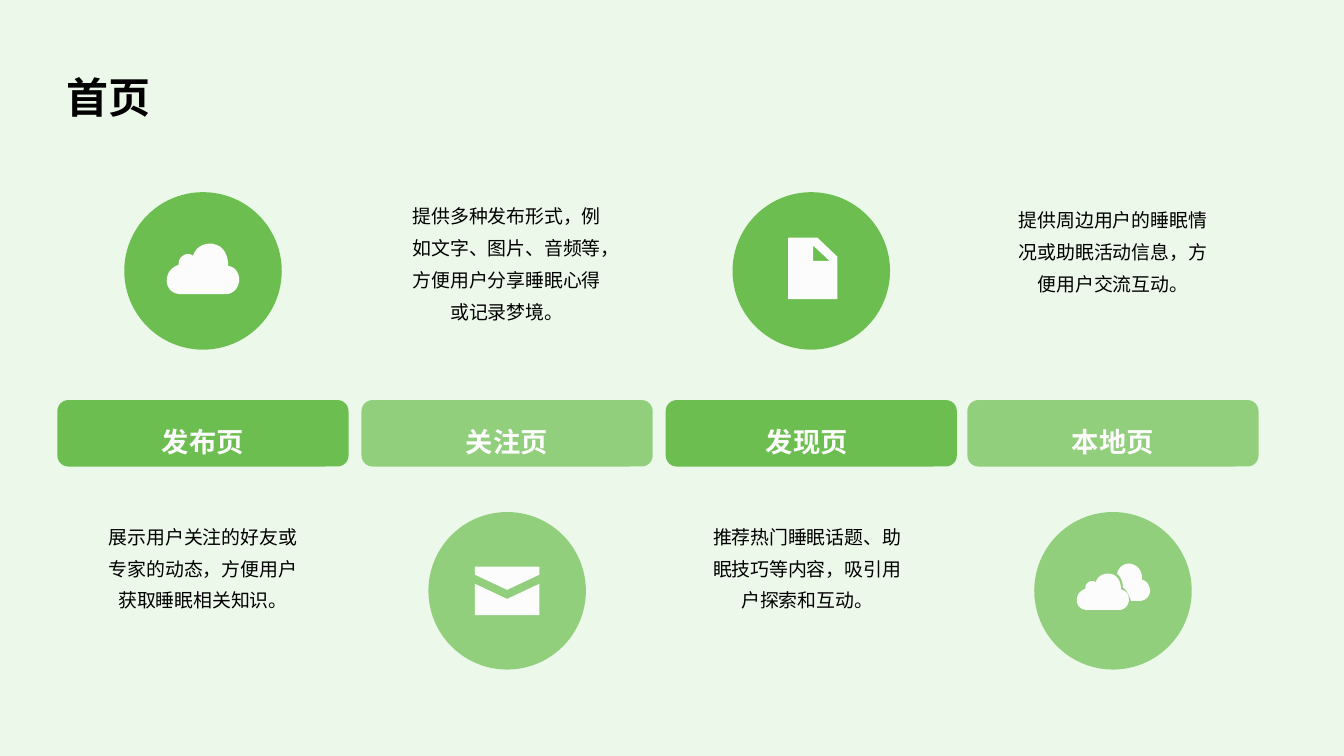
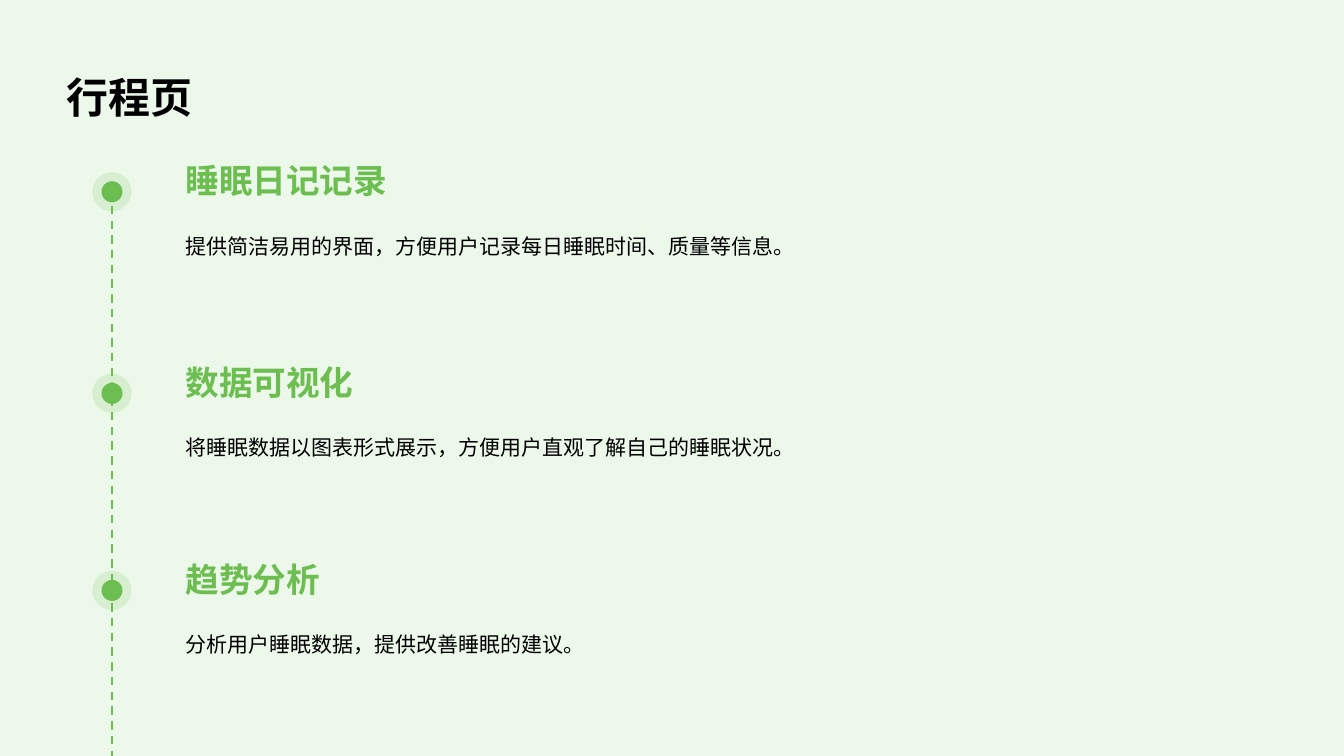
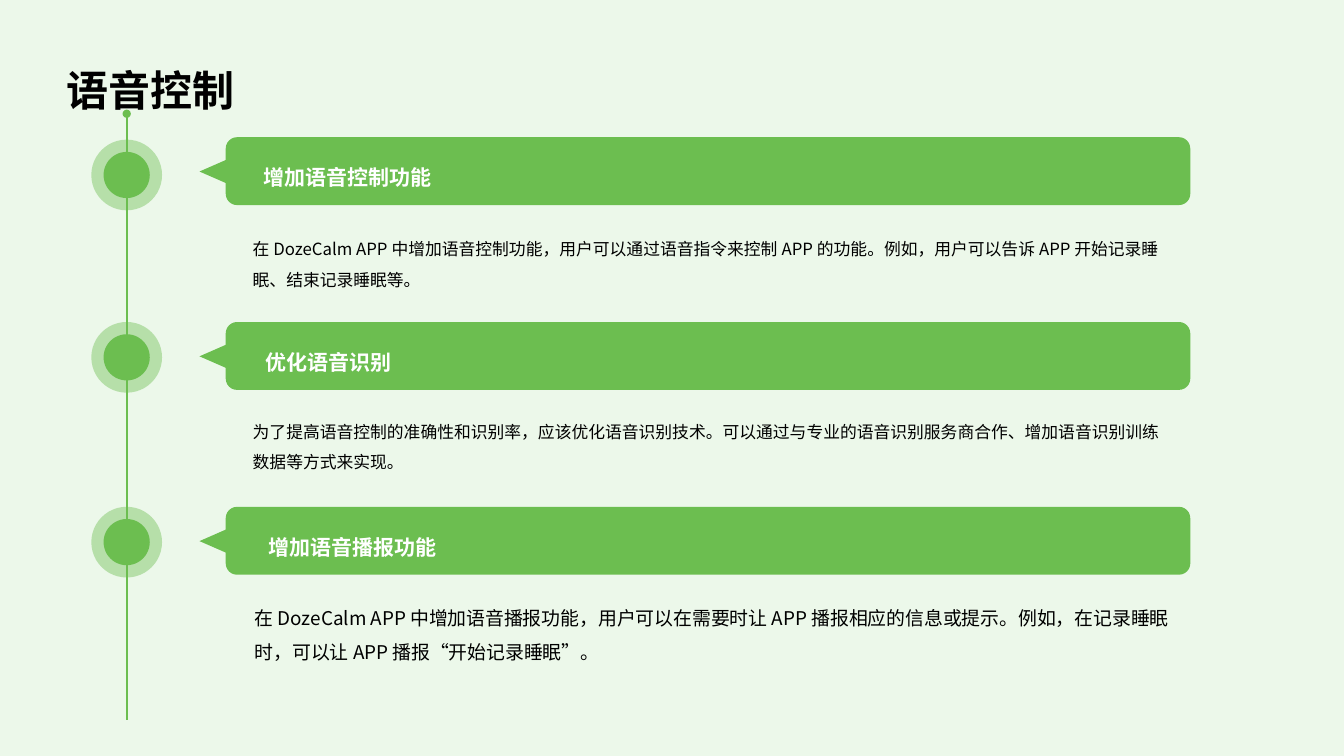
from lxml import etree
from pptx import Presentation
from pptx.dml.color import RGBColor
from pptx.enum.dml import MSO_LINE
from pptx.enum.shapes import MSO_CONNECTOR, MSO_SHAPE
from pptx.enum.text import MSO_ANCHOR, MSO_AUTO_SIZE, PP_ALIGN
from pptx.oxml.ns import qn
from pptx.util import Pt

OVAL, ROUNDED, TRIANGLE = MSO_SHAPE.OVAL, MSO_SHAPE.ROUNDED_RECTANGLE, MSO_SHAPE.ISOSCELES_TRIANGLE
TOP, MIDDLE, BOTTOM = MSO_ANCHOR.TOP, MSO_ANCHOR.MIDDLE, MSO_ANCHOR.BOTTOM
LEFT, CENTER = PP_ALIGN.LEFT, PP_ALIGN.CENTER
GROW, FIXED = MSO_AUTO_SIZE.SHAPE_TO_FIT_TEXT, MSO_AUTO_SIZE.NONE
STRAIGHT, DASH = MSO_CONNECTOR.STRAIGHT, MSO_LINE.DASH

WIDTH, HEIGHT = 960, 540
GREEN, PALE, WHITE, OFF_WHITE, BLACK = "6CBE50", "ECF8EA", "FFFFFF", "FDFCFC", "000000"
FONT = "Noto Sans CJK SC"

# Icon outlines in points around the icon's centre.
# A pair is a corner; four numbers are a curve's control point and its end.
CLOUD = [(16.6, 16.6), (24.5, 16.6, 25.9, 7.2), (26.6, -2.2, 18, -3.6),
         (18.7, -18, 6.5, -19.4), (-3.6, -20.9, -7.2, -10.8),
         (-10.1, -13.7, -14.4, -10.8), (-18, -8.6, -17.3, -4.3),
         (-25.9, -2.2, -25.9, 7.2), (-25.9, 15.8, -16.6, 16.6)]
BACK_CLOUD = [(20.9, -7.9), (21.6, -18, 12.2, -19.4), (5, -20.2, 2.9, -12.2),
              (7.2, -9.4, 7.2, -2.2), (10.1, -1.4, 13, 7.2), (19.4, 7.2),
              (25.2, 7.2, 26.6, 0.7), (26.6, -6.5, 20.9, -7.9)]
ENVELOPE = [[(0, -0.7), (23, -11.5), (23, -17.3), (-23, -17.3), (-23, -11.5)],
            [(0, 5.8), (23, -5), (23, 17.3), (-23, 17.3), (-23, -5)]]
DOCUMENT = [[(4.3, -23.8), (-16.6, -23.8), (-16.6, 20.2), (18.7, 20.2), (18.7, -10.1)],
            [(1.4, -7.2), (1.4, -18), (13, -7.2)]]


def color(value):
    return RGBColor.from_string(value)


def flatten(outline, steps=10):
    """Turn an outline's curves, which leave along their control line, into points."""
    points = [outline[0]]
    for part in outline[1:]:
        if len(part) == 2:
            points.append(part)
            continue
        start, control, end = points[-1], part[:2], part[2:]
        for step in range(1, steps + 1):
            t = step / steps
            near, far = (1 - t) ** 3 + 3 * t * (1 - t) ** 2, 3 * t * t * (1 - t)
            points.append(tuple(near * a + far * b + t ** 3 * c
                                for a, b, c in zip(start, control, end)))
    return points


class Slides:
    def __init__(self):
        self.deck = Presentation()
        self.deck.slide_width, self.deck.slide_height = Pt(WIDTH), Pt(HEIGHT)
        self.page = None

    def new_page(self):
        self.page = self.deck.slides.add_slide(self.deck.slide_layouts[6])
        background = self.page.background.fill
        background.solid()
        background.fore_color.rgb = color(PALE)

    def paint(self, shape, fill, alpha=100):
        shape.shadow.inherit = False
        shape.line.fill.background()
        shape.fill.solid()
        shape.fill.fore_color.rgb = color(fill)
        if alpha < 100:
            tint = shape._element.spPr.find(qn("a:solidFill"))[0]
            etree.SubElement(tint, qn("a:alpha"), val=str(alpha * 1000))

    def shape(self, kind, left, top, width, height, alpha=100, rotation=0):
        shape = self.page.shapes.add_shape(kind, Pt(left), Pt(top), Pt(width), Pt(height))
        shape.rotation = rotation
        self.paint(shape, GREEN, alpha)

    def dot(self, x, y, size, alpha=100):
        self.shape(OVAL, x - size / 2, y - size / 2, size, size, alpha)

    def icon(self, outlines, x, y, scale=1):
        builder = None
        for outline in outlines:
            points = [(Pt(x + dx * scale), Pt(y + dy * scale)) for dx, dy in flatten(outline)]
            if builder is None:
                builder = self.page.shapes.build_freeform(*points[0])
            else:
                builder.move_to(*points[0])
            builder.add_line_segments(points[1:], close=True)
        self.paint(builder.convert_to_shape(), OFF_WHITE)

    def line(self, x, top, bottom, dash=None, head=None):
        line = self.page.shapes.add_connector(STRAIGHT, Pt(x), Pt(top), Pt(x), Pt(bottom))
        line.line.color.rgb = color(GREEN)
        line.line.width = Pt(1.5)
        if dash:
            line.line.dash_style = dash
        properties = line._element.spPr
        if head:
            etree.SubElement(properties.find(qn("a:ln")), qn("a:headEnd"), type=head)
        etree.SubElement(properties, qn("a:effectLst"))

    def text(self, words, left, top, width, height, size, ink=BLACK, bold=False,
             anchor=TOP, align=LEFT, spacing=1.4, insets=(0, 0, 0, 0), fit=FIXED):
        box = self.page.shapes.add_textbox(Pt(left), Pt(top), Pt(width), Pt(height))
        frame = box.text_frame
        sides = ("margin_left", "margin_top", "margin_right", "margin_bottom")
        frame_format = {"word_wrap": True, "auto_size": fit, "vertical_anchor": anchor,
                        **{side: Pt(inset) for side, inset in zip(sides, insets)}}
        para = frame.paragraphs[0]
        span = para.add_run()
        span.text = words
        span.font.color.rgb = color(ink)
        formats = ((frame, frame_format),
                   (para, {"alignment": align, "line_spacing": spacing}),
                   (span.font, {"size": Pt(size), "bold": bold, "name": FONT}))
        for target, values in formats:
            for name, value in values.items():
                setattr(target, name, value)
        etree.SubElement(span._r.get_or_add_rPr(), qn("a:ea"), typeface=FONT)

    def title(self, words, bottom_inset=0):
        self.text(words, 37.5, 21, 885, 72, 30, bold=True, anchor=MIDDLE,
                  insets=(10, 10, 4.5, bottom_inset))


def home_page(slides):
    slides.new_page()
    bar_top, bar_width, bar_height = 285.75, 208, 47.5
    upper, lower = 193.5, 422
    small_inset = (5, 3, 5, 0)
    small_cloud = [[tuple(0.72 * n + (-7.2, 1.7)[i % 2] for i, n in enumerate(part))
                    for part in CLOUD], BACK_CLOUD]
    # centre, centre of the text, circle height, body top, opacity, icon, label, body
    columns = [
        (145, 145, upper, 366, 100, [CLOUD], "发布页",
         "展示用户关注的好友或专家的动态，方便用户获取睡眠相关知识。"),
        (362.25, 362, lower, 137, 70, ENVELOPE, "关注页",
         "提供多种发布形式，例如文字、图片、音频等，方便用户分享睡眠心得或记录梦境。"),
        (579.5, 576.5, upper, 366, 100, DOCUMENT, "发现页",
         "推荐热门睡眠话题、助眠技巧等内容，吸引用户探索和互动。"),
        (795, 795, lower, 139.75, 70, small_cloud, "本地页",
         "提供周边用户的睡眠情况或助眠活动信息，方便用户交流互动。"),
    ]
    for x, text_x, circle_y, body_top, alpha, icon, label, body in columns:
        slides.shape(ROUNDED, x - bar_width / 2, bar_top, bar_width, bar_height, alpha)
        slides.dot(x, circle_y, 112.5, alpha)
        slides.icon(icon, x, circle_y)
        slides.text(label, text_x - 75, 296.75, 150, 29, 19.5, OFF_WHITE, True, MIDDLE,
                    CENTER, 1.2, small_inset, GROW)
        slides.text(body, text_x - 76, body_top, 152, 69, 13.5, align=CENTER,
                    insets=small_inset, fit=GROW)
    slides.title("首页")


def journey_page(slides):
    slides.new_page()
    slides.title("行程页")
    steps = [
        (107.25, "睡眠日记记录", "提供简洁易用的界面，方便用户记录每日睡眠时间、质量等信息。"),
        (251.25, "数据可视化", "将睡眠数据以图表形式展示，方便用户直观了解自己的睡眠状况。"),
        (392, "趋势分析", "分析用户睡眠数据，提供改善睡眠的建议。"),
    ]
    for top, heading, body in steps:
        slides.text(heading, 132.5, top, 704, 36, 24, GREEN, True, BOTTOM, spacing=1.2, fit=GROW)
        slides.text(body, 132.5, top + 52, 706, 26, 15, fit=GROW)
        slides.dot(80, top + 29.75, 15)
        slides.dot(80, top + 29.75, 28, 16)
    slides.line(80, 136.5, HEIGHT, dash=DASH)


def voice_page(slides):
    slides.new_page()
    slides.line(90.5, 81.25, 514, head="oval")
    bar_height, pitch = 48.5, 132
    inset = (10, 10, 4.5, 10)
    # dot height, heading left, body left, body top, body size, heading, body
    rows = [
        (125, 178, 170.5, 153.5, 12, "增加语音控制功能",
         "在 DozeCalm APP 中增加语音控制功能，用户可以通过语音指令来控制 APP 的功能。"
         "例如，用户可以告诉 APP 开始记录睡眠、结束记录睡眠等。"),
        (255.25, 179.5, 170.5, 283.75, 12, "优化语音识别",
         "为了提高语音控制的准确性和识别率，应该优化语音识别技术。"
         "可以通过与专业的语音识别服务商合作、增加语音识别训练数据等方式来实现。"),
        (387.25, 182, 172, 415.5, 13.5, "增加语音播报功能",
         "在 DozeCalm APP 中增加语音播报功能，用户可以在需要时让 APP 播报相应的信息或提示。"
         "例如，在记录睡眠时，可以让 APP 播报“开始记录睡眠”。"),
    ]
    for index, (dot_y, heading_left, body_left, body_top, size, heading, body) in enumerate(rows):
        bar_top = 98 + index * pitch
        slides.dot(90.5, dot_y, 50.5, 42)
        slides.dot(90.5, dot_y, 33, 100)
        slides.shape(ROUNDED, 161.25, bar_top, 689, bar_height)
        slides.shape(TRIANGLE, 144, bar_top + 12.5, 21, 24, rotation=270)
        slides.text(heading, heading_left, bar_top - 3.25, 536, 55, 15, WHITE, True, MIDDLE,
                    spacing=1.5, insets=inset)
        slides.text(body, body_left, body_top, 842 - body_left, 70, size,
                    spacing=1.5, insets=inset)
    slides.title("语音控制", bottom_inset=10)


def main():
    slides = Slides()
    home_page(slides)
    journey_page(slides)
    voice_page(slides)
    slides.deck.save("out.pptx")


if __name__ == "__main__":
    main()
